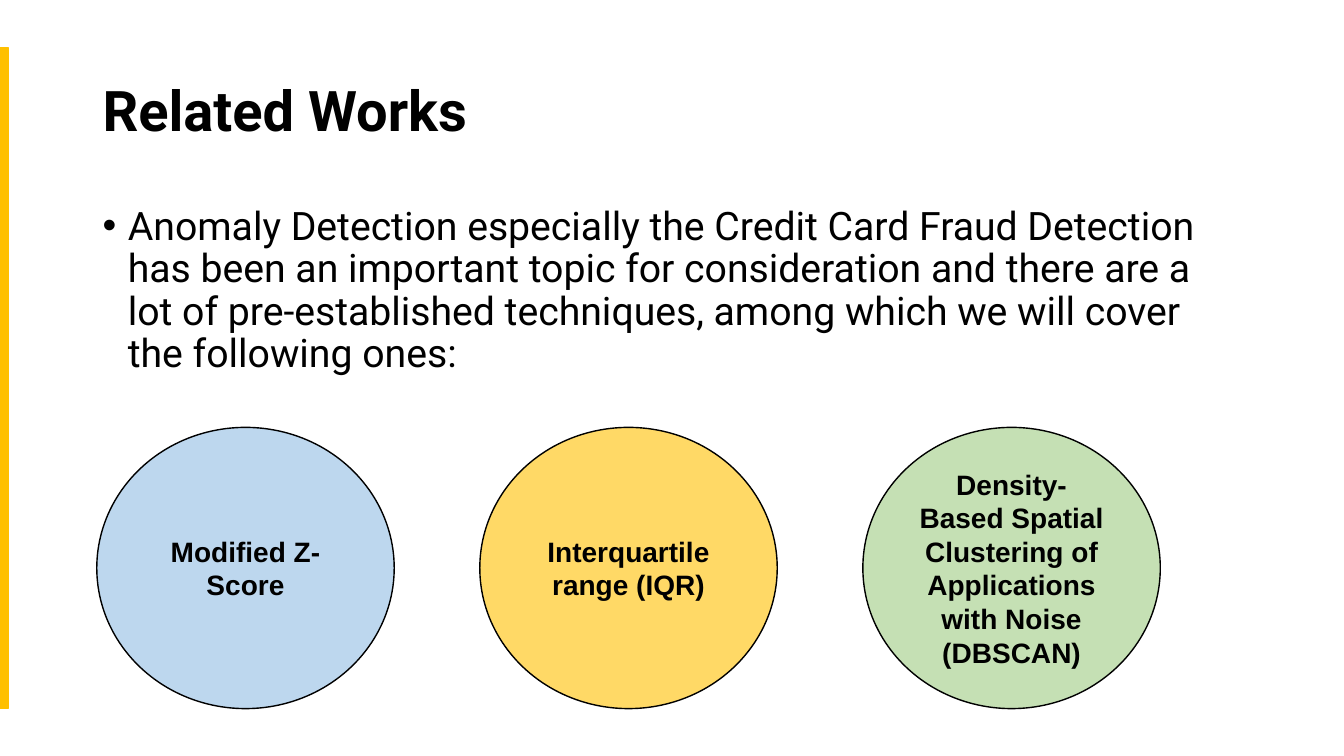
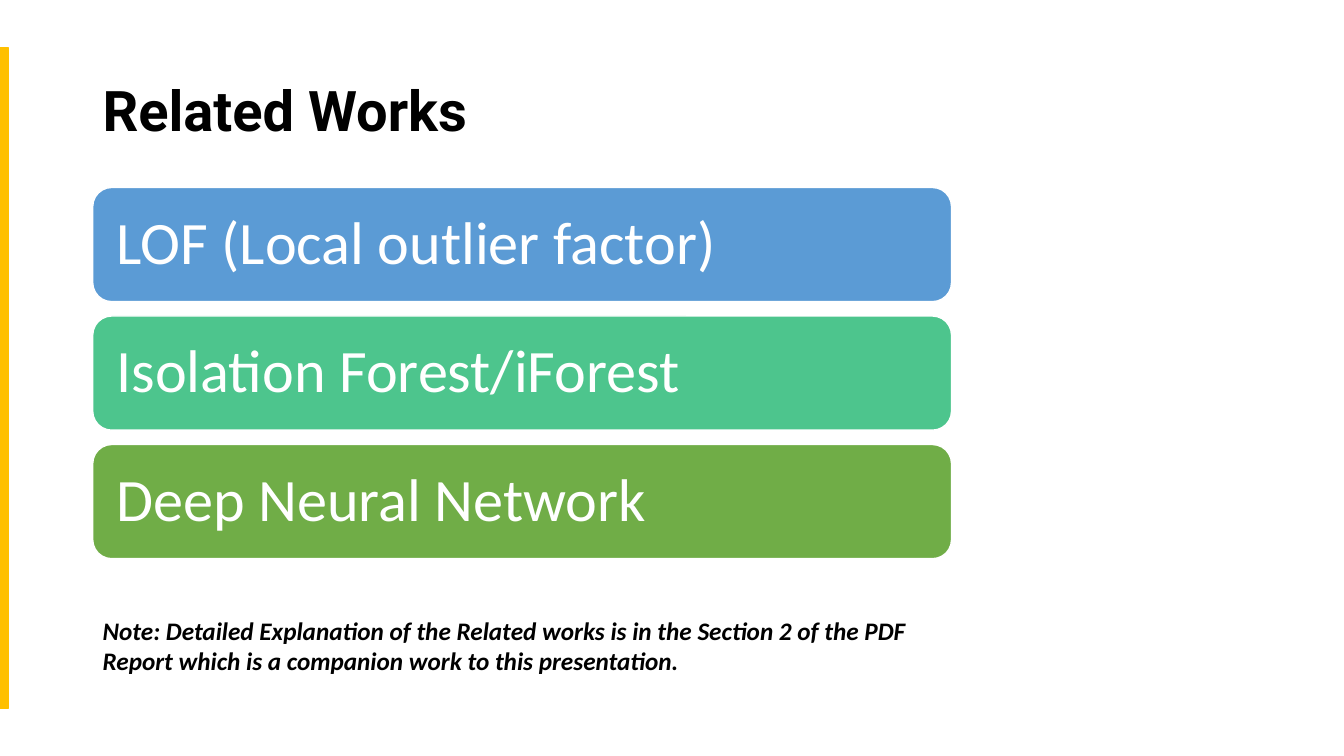
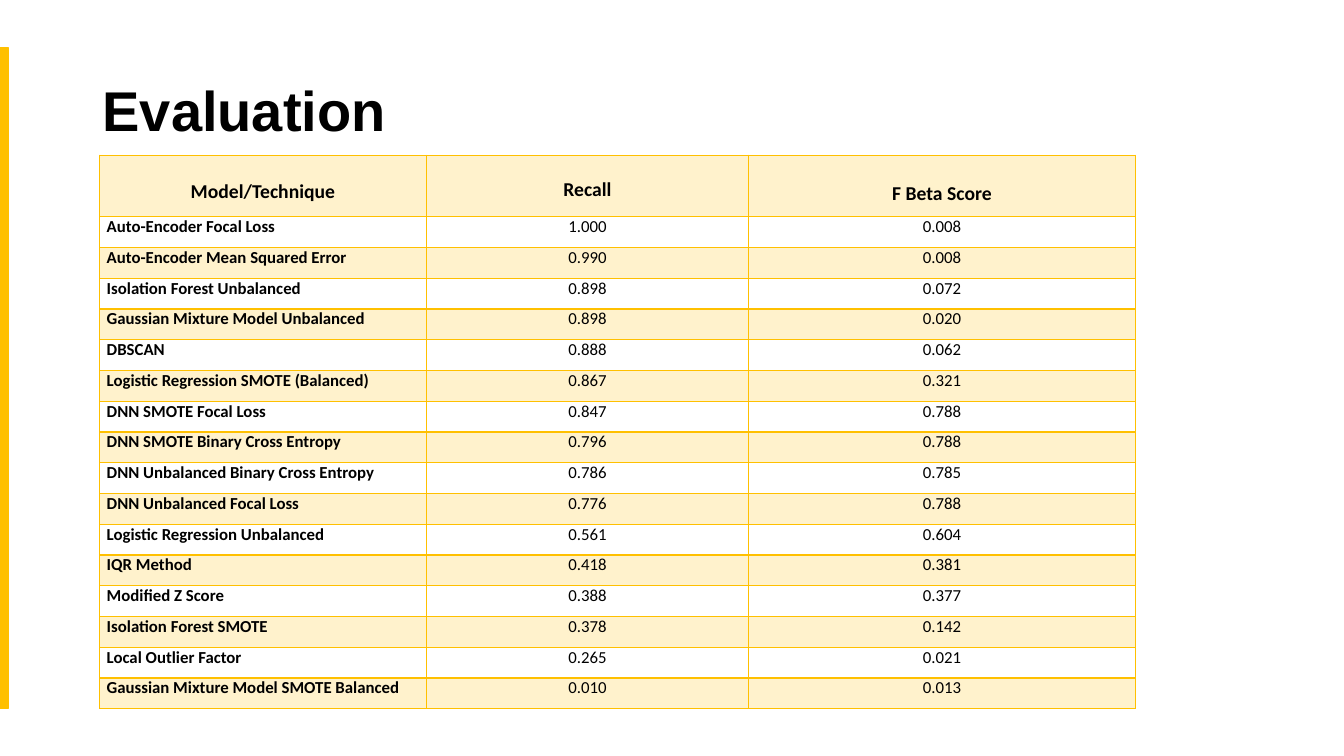
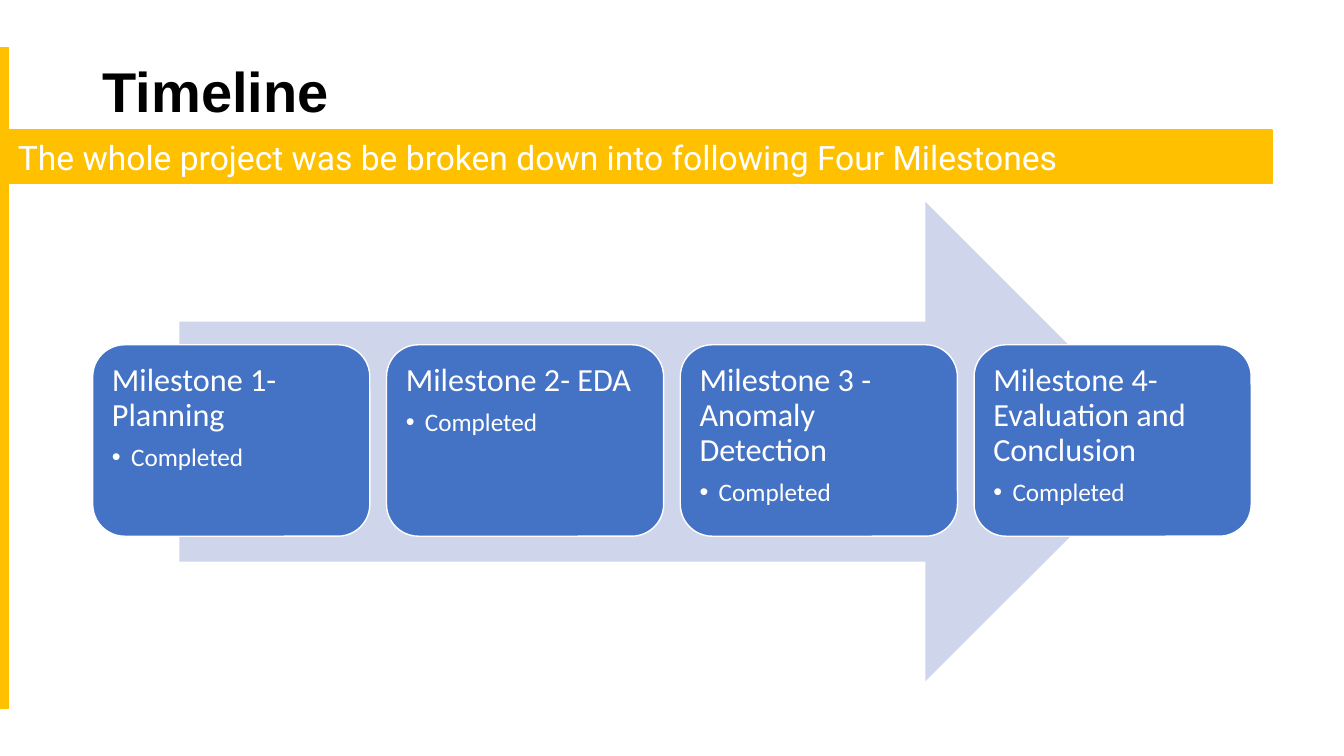
from dataclasses import dataclass

from lxml.etree import SubElement
from pptx import Presentation
from pptx.dml.color import RGBColor
from pptx.enum.shapes import MSO_SHAPE
from pptx.enum.text import MSO_ANCHOR, PP_ALIGN
from pptx.oxml.ns import qn
from pptx.util import Inches, Pt

SLIDE_WIDTH, SLIDE_HEIGHT = Inches(13.33), Inches(7.5)
MARGIN = 6.9
CONTENT_WIDTH = 86.25


@dataclass(frozen=True)
class Theme:
    ink: str = "000000"
    paper: str = "FFFFFF"
    accent: str = "FFC000"
    accent_tint: str = "FFF2CC"
    circles: tuple = ("BDD7EE", "FFD966", "C5E0B4")
    bars: tuple = ("5B9BD5", "4DC58D", "70AD47")
    arrow: str = "CFD5EA"
    milestone: str = "4472C4"
    display_font: str = "Roboto"
    plain_font: str = "Arial"
    text_font: str = "Calibri"
    title_size: int = 40
    bar_size: int = 43
    body_size: int = 28
    banner_size: int = 24
    milestone_size: int = 23
    circle_size: int = 20
    note_size: int = 18
    header_size: int = 14
    cell_size: int = 12


THEME = Theme()

TECHNIQUES = [
    "Modified Z-Score",
    "Interquartile range (IQR)",
    "Density-Based Spatial Clustering of Applications with Noise (DBSCAN)",
]
MODELS = ["LOF (Local outlier factor)", "Isolation Forest/iForest", "Deep Neural Network"]
MILESTONES = [
    "Milestone 1- Planning",
    "Milestone 2- EDA",
    "Milestone 3 - Anomaly Detection",
    "Milestone 4- Evaluation and Conclusion",
]
SCORE_HEADER = ("Model/Technique", "Recall", "F Beta Score")
SCORES = [
    ("Auto-Encoder Focal Loss", "1.000", "0.008"),
    ("Auto-Encoder Mean Squared Error", "0.990", "0.008"),
    ("Isolation Forest Unbalanced", "0.898", "0.072"),
    ("Gaussian Mixture Model Unbalanced", "0.898", "0.020"),
    ("DBSCAN", "0.888", "0.062"),
    ("Logistic Regression SMOTE (Balanced)", "0.867", "0.321"),
    ("DNN SMOTE Focal Loss", "0.847", "0.788"),
    ("DNN SMOTE Binary Cross Entropy", "0.796", "0.788"),
    ("DNN Unbalanced Binary Cross Entropy", "0.786", "0.785"),
    ("DNN Unbalanced Focal Loss", "0.776", "0.788"),
    ("Logistic Regression Unbalanced", "0.561", "0.604"),
    ("IQR Method", "0.418", "0.381"),
    ("Modified Z Score", "0.388", "0.377"),
    ("Isolation Forest SMOTE", "0.378", "0.142"),
    ("Local Outlier Factor", "0.265", "0.021"),
    ("Gaussian Mixture Model SMOTE Balanced", "0.010", "0.013"),
]


def across(percent):
    return round(SLIDE_WIDTH * percent / 100)


def down(percent):
    return round(SLIDE_HEIGHT * percent / 100)


def place(left, top, width, height):
    return across(left), down(top), across(width), down(height)


def color(value):
    return RGBColor.from_string(value)


def add_span(para, text, size, font, ink=THEME.ink, bold=False, italic=False):
    span = para.add_run()
    span.text = text
    span.font.size = Pt(size)
    span.font.name = font
    span.font.color.rgb = color(ink)
    span.font.bold = bold
    span.font.italic = italic


def add_bullet(para, indent):
    properties = para._p.get_or_add_pPr()
    properties.set("marL", str(Inches(indent)))
    properties.set("indent", str(-Inches(indent)))
    SubElement(properties, qn("a:buFont"), typeface="Arial")
    SubElement(properties, qn("a:buChar"), char="•")


def add_text_box(page, area):
    frame = page.shapes.add_textbox(*place(*area)).text_frame
    frame.word_wrap = True
    return frame


def add_box(page, kind, area, fill, line=None, inset=None):
    box = page.shapes.add_shape(kind, *place(*area))
    box.shadow.inherit = False
    box.fill.solid()
    box.fill.fore_color.rgb = color(fill)
    if line:
        box.line.color.rgb = color(line)
        box.line.width = Pt(1)
    else:
        box.line.fill.background()
    frame = box.text_frame
    frame.word_wrap = True
    frame.vertical_anchor = MSO_ANCHOR.MIDDLE
    if inset:
        frame.margin_left = frame.margin_right = Inches(inset)
        frame.margin_top = frame.margin_bottom = Inches(inset)
    frame.paragraphs[0].alignment = PP_ALIGN.LEFT
    return frame


def add_page(deck, title, font, top=5.33, height=19.33):
    page = deck.slides.add_slide(deck.slide_layouts[6])
    add_box(page, MSO_SHAPE.RECTANGLE, (0, 6.27, 0.6, 87.47), THEME.accent, THEME.accent)
    frame = add_text_box(page, (MARGIN, top, CONTENT_WIDTH, height))
    frame.vertical_anchor = MSO_ANCHOR.MIDDLE
    para = frame.paragraphs[0]
    para.line_spacing = 0.9
    add_span(para, title, THEME.title_size, font, bold=True)
    return page


def add_circle(page, column, text, fill):
    frame = add_box(page, MSO_SHAPE.OVAL, (7.2 + column * 28.5, 56.53, 22.13, 37.2), fill, THEME.ink)
    para = frame.paragraphs[0]
    para.alignment = PP_ALIGN.CENTER
    add_span(para, text, THEME.circle_size, THEME.plain_font, bold=True)


def add_bar(page, row, text, fill):
    area = (MARGIN, 24.8 + row * 17, 63.9, 15.1)
    frame = add_box(page, MSO_SHAPE.ROUNDED_RECTANGLE, area, fill, THEME.paper, 0.18)
    para = frame.paragraphs[0]
    para.line_spacing = 0.9
    add_span(para, text, THEME.bar_size, THEME.text_font, THEME.paper)


def add_milestone(page, column, text):
    area = (MARGIN + column * 21.86, 45.6, 20.62, 25.33)
    frame = add_box(page, MSO_SHAPE.ROUNDED_RECTANGLE, area, THEME.milestone, THEME.paper, 0.1)
    frame.vertical_anchor = MSO_ANCHOR.TOP
    heading = frame.paragraphs[0]
    heading.line_spacing = 0.9
    heading.space_after = Pt(8)
    add_span(heading, text, THEME.milestone_size, THEME.text_font, THEME.paper)
    status = frame.add_paragraph()
    status.alignment = PP_ALIGN.LEFT
    status.line_spacing = 0.9
    add_bullet(status, 0.19)
    add_span(status, "Completed", THEME.note_size, THEME.text_font, THEME.paper)


def add_borders(cell):
    properties = cell._tc.get_or_add_tcPr()
    for side in ("a:lnL", "a:lnR", "a:lnT", "a:lnB"):
        line = SubElement(properties, qn(side), w=str(Pt(1)))
        fill = SubElement(line, qn("a:solidFill"))
        SubElement(fill, qn("a:srgbClr"), val=THEME.accent)


def fill_cell(cell, text, size, fill, bold, centered, top=0):
    add_borders(cell)
    cell.fill.solid()
    cell.fill.fore_color.rgb = color(fill)
    cell.margin_left = cell.margin_right = Inches(0.07)
    cell.margin_top, cell.margin_bottom = Inches(top), 0
    para = cell.text_frame.paragraphs[0]
    para.alignment = PP_ALIGN.CENTER if centered else PP_ALIGN.LEFT
    para.space_after = Pt(4)
    add_span(para, text, size, THEME.text_font, bold=bold)


def add_score_table(page):
    columns, header_height, row_height = (24.3, 24, 28.75), 8.13, 4.07
    height = header_height + row_height * len(SCORES)
    area = place(7.42, 20.53, sum(columns), height)
    table = page.shapes.add_table(len(SCORES) + 1, len(columns), *area).table
    table.first_row = table.horz_banding = False
    for column, width in zip(table.columns, columns):
        column.width = across(width)
    for index, row in enumerate(table.rows):
        row.height = down(row_height if index else header_height)
    for column, (text, top) in enumerate(zip(SCORE_HEADER, (0.24, 0.22, 0.26))):
        fill_cell(table.cell(0, column), text, THEME.header_size, THEME.accent_tint, True, True, top)
    for index, record in enumerate(SCORES, start=1):
        fill = THEME.paper if index % 2 else THEME.accent_tint
        for column, text in enumerate(record):
            fill_cell(table.cell(index, column), text, THEME.cell_size, fill, column == 0, column > 0)


def build_techniques(deck):
    page = add_page(deck, "Related Works", THEME.display_font)
    para = add_text_box(page, (MARGIN, 26.67, CONTENT_WIDTH, 59.73)).paragraphs[0]
    para.line_spacing = 0.9
    para.space_before = Pt(10)
    add_bullet(para, 0.25)
    add_span(
        para,
        "Anomaly Detection especially the Credit Card Fraud Detection has been an important topic "
        "for consideration and there are a lot of pre-established techniques, among which we will "
        "cover the following ones:",
        THEME.body_size,
        THEME.display_font,
    )
    for column, (text, fill) in enumerate(zip(TECHNIQUES, THEME.circles)):
        add_circle(page, column, text, fill)


def build_models(deck):
    page = add_page(deck, "Related Works", THEME.display_font)
    for row, (text, fill) in enumerate(zip(MODELS, THEME.bars)):
        add_bar(page, row, text, fill)
    note = add_text_box(page, (MARGIN, 80.67, 63.9, 9.47)).paragraphs[0]
    add_span(
        note,
        "Note: Detailed Explanation of the Related works is in the Section 2 of the PDF Report "
        "which is a companion work to this presentation.",
        THEME.note_size,
        THEME.text_font,
        bold=True,
        italic=True,
    )


def build_evaluation(deck):
    page = add_page(deck, "Evaluation", THEME.plain_font)
    add_score_table(page)


def build_timeline(deck):
    page = add_page(deck, "Timeline", THEME.plain_font, 4.27, 16.53)
    banner = add_box(page, MSO_SHAPE.RECTANGLE, (0.6, 17.2, 94.05, 7.07), THEME.accent, THEME.accent)
    add_span(
        banner.paragraphs[0],
        "The whole project was be broken down into following Four Milestones",
        THEME.banner_size,
        THEME.display_font,
        THEME.paper,
    )
    add_box(page, MSO_SHAPE.RIGHT_ARROW, (13.35, 26.67, 73.35, 63.47), THEME.arrow)
    for column, text in enumerate(MILESTONES):
        add_milestone(page, column, text)


def main():
    deck = Presentation()
    deck.slide_width, deck.slide_height = SLIDE_WIDTH, SLIDE_HEIGHT
    for build in (build_techniques, build_models, build_evaluation, build_timeline):
        build(deck)
    deck.save("out.pptx")


if __name__ == "__main__":
    main()
